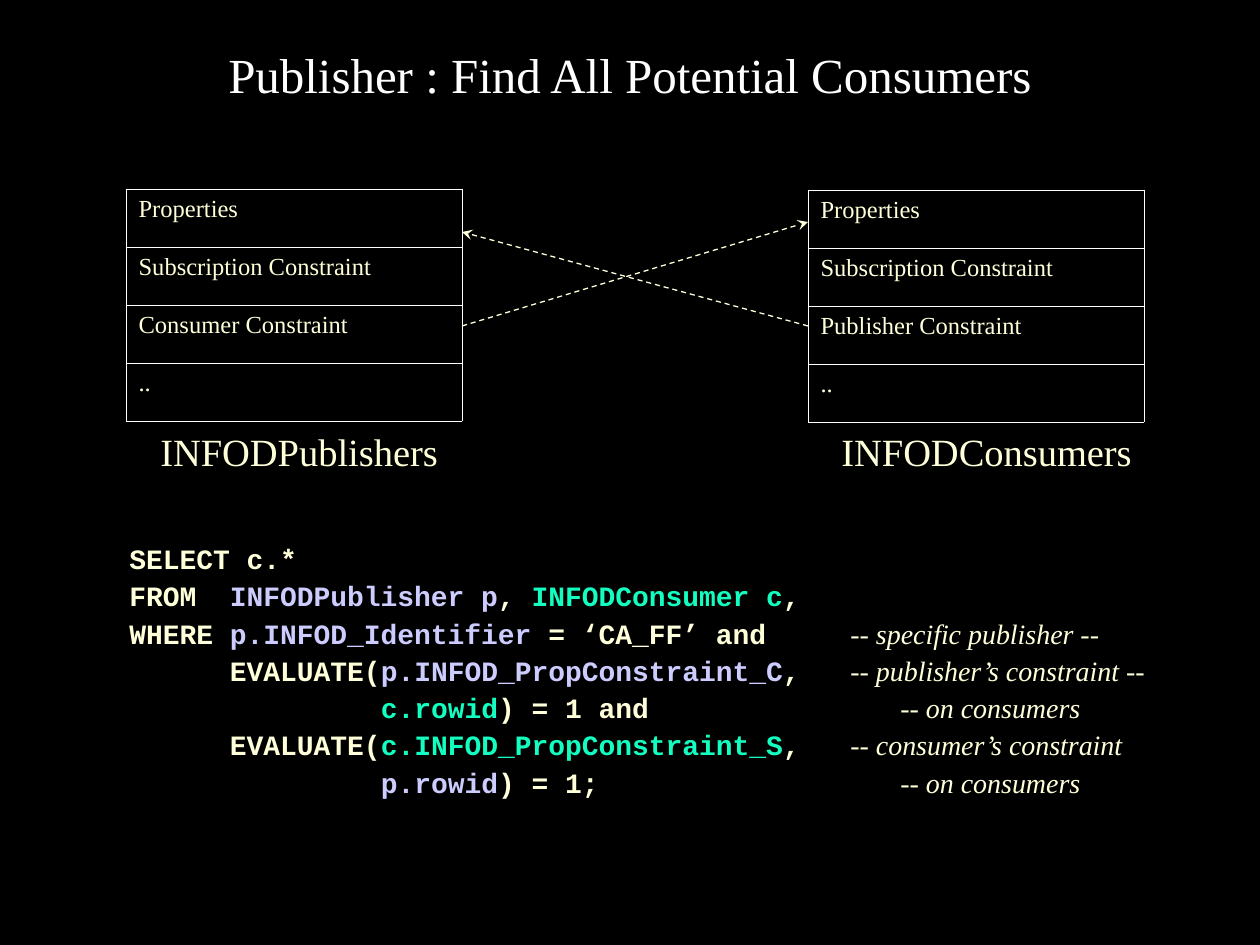
"""Build the slide on how a publisher finds all potential consumers."""
from lxml.etree import SubElement
from pptx import Presentation
from pptx.dml.color import RGBColor
from pptx.enum.dml import MSO_LINE
from pptx.enum.shapes import MSO_CONNECTOR
from pptx.enum.text import MSO_ANCHOR, MSO_AUTO_SIZE, PP_ALIGN
from pptx.oxml import parse_xml
from pptx.oxml.ns import nsdecls, qn
from pptx.util import Pt

PX = 914400 / 126
BLACK = RGBColor(0x00, 0x00, 0x00)
WHITE = RGBColor(0xFF, 0xFF, 0xFF)
CREAM = RGBColor(0xFF, 0xFF, 0xD9)
LILAC = RGBColor(0xCC, 0xCC, 0xFF)
MINT = RGBColor(0x13, 0xFF, 0xC1)
SERIF, MONO = "Times New Roman", "Courier New"


def px(*lengths):
    return [round(length * PX) for length in lengths]


def add_run(paragraph, text, size, color=CREAM, font=SERIF, bold=False, italic=False):
    run = paragraph.add_run()
    run.text = text
    run.font.name = font
    run.font.size = Pt(size)
    run.font.bold = bold
    run.font.italic = italic
    run.font.color.rgb = color


prs = Presentation()
prs.slide_width, prs.slide_height = px(1260, 945)
slide = prs.slides.add_slide(prs.slide_layouts[6])
slide.background.fill.solid()
slide.background.fill.fore_color.rgb = BLACK

title = slide.shapes.add_textbox(*px(94, 31, 1072, 85)).text_frame
title.word_wrap = True
title.vertical_anchor = MSO_ANCHOR.MIDDLE
title.paragraphs[0].alignment = PP_ALIGN.CENTER
add_run(title.paragraphs[0], "Publisher : Find All Potential Consumers", 28, WHITE)

CODE_LINES = [
    ([("SELECT c.*", CREAM)], None),
    ([("FROM  ", CREAM), ("INFODPublisher p", LILAC), (", ", CREAM),
      ("INFODConsumer c", MINT), (",", CREAM)], None),
    ([("WHERE ", CREAM), ("p.INFOD_Identifier", LILAC), (" = ‘CA_FF’ and", CREAM)],
     ("-- specific publisher --", 721)),
    ([("      EVALUATE(", CREAM), ("p.INFOD_PropConstraint_C", LILAC), (",", CREAM)],
     ("-- publisher’s constraint --", 721)),
    ([("               ", CREAM), ("c.rowid", MINT), (") = 1 and", CREAM)],
     ("-- on consumers", 771)),
    ([("      EVALUATE(", CREAM), ("c.INFOD_PropConstraint_S", MINT), (",", CREAM)],
     ("-- consumer’s constraint", 721)),
    ([("               ", CREAM), ("p.rowid", LILAC), (") = 1;", CREAM)],
     ("-- on consumers", 771)),
]
query = slide.shapes.add_textbox(*px(117, 532, 1101, 274)).text_frame
query.word_wrap = True
for index, (code, comment) in enumerate(CODE_LINES):
    line = query.add_paragraph() if index else query.paragraphs[0]
    line.line_spacing = Pt(21.25)
    for text, color in code:
        add_run(line, text, 16, color, MONO, bold=True)
    if comment:
        remark, tab_position = comment
        tabs = SubElement(line._p.get_or_add_pPr(), qn("a:tabLst"))
        SubElement(tabs, qn("a:tab"), pos=str(px(tab_position)[0]), algn="l")
        add_run(line, "\t" + remark, 16, italic=True)

ENTITIES = [
    ("INFODPublishers", "Consumer Constraint", 126, 189, 148, 304),
    ("INFODConsumers", "Publisher Constraint", 808, 190, 829, 317),
]
for name, constraint, left, top, name_left, name_width in ENTITIES:
    fields = ["Properties", "Subscription Constraint", constraint, ".."]
    entity = slide.shapes.add_table(len(fields), 1, *px(left, top, 336, 232)).table
    entity.first_row = False
    entity.horz_banding = False
    for row, field in enumerate(fields):
        cell = entity.cell(row, 0)
        add_run(cell.text_frame.paragraphs[0], field, 14)
        properties = cell._tc.get_or_add_tcPr()
        for side in ("lnL", "lnR", "lnT", "lnB"):
            properties.append(parse_xml(
                f'<a:{side} {nsdecls("a")} w="{Pt(0.45)}"><a:solidFill>'
                f'<a:srgbClr val="{WHITE}"/></a:solidFill></a:{side}>'))
        cell.fill.background()

    caption = slide.shapes.add_textbox(*px(name_left, 422, name_width, 59)).text_frame
    caption.word_wrap = False
    caption.auto_size = MSO_AUTO_SIZE.SHAPE_TO_FIT_TEXT
    add_run(caption.paragraphs[0], name, 22)

for start_x, start_y, end_x, end_y in [(808, 326, 462, 232), (462, 326, 808, 222)]:
    match = slide.shapes.add_connector(
        MSO_CONNECTOR.STRAIGHT, *px(start_x, start_y, end_x, end_y))
    match.line.color.rgb = CREAM
    match.line.width = Pt(0.75)
    match.line.dash_style = MSO_LINE.DASH
    SubElement(match.line._get_or_add_ln(), qn("a:tailEnd"), type="stealth")
    SubElement(match._element.spPr, qn("a:effectLst"))

prs.save("out.pptx")
